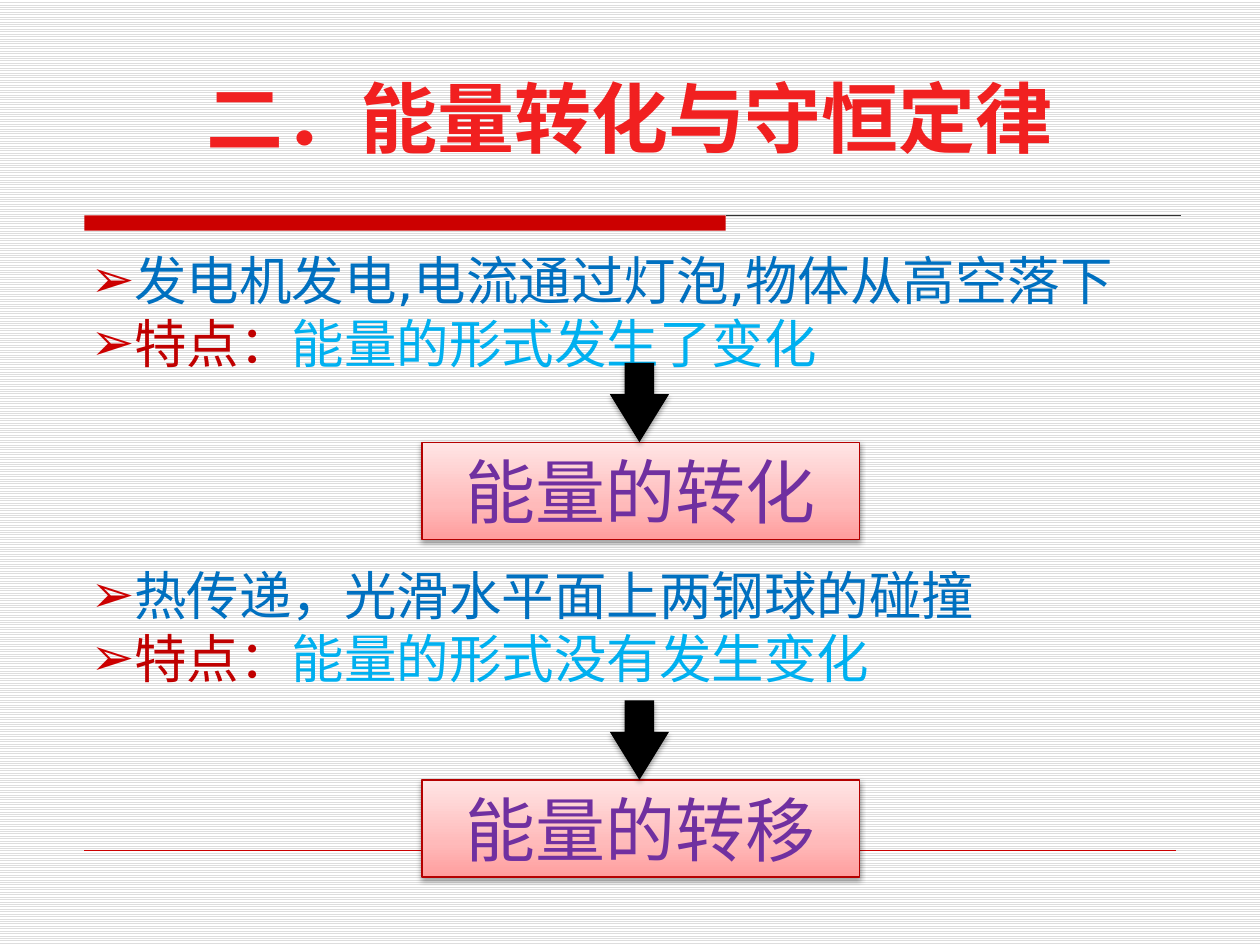
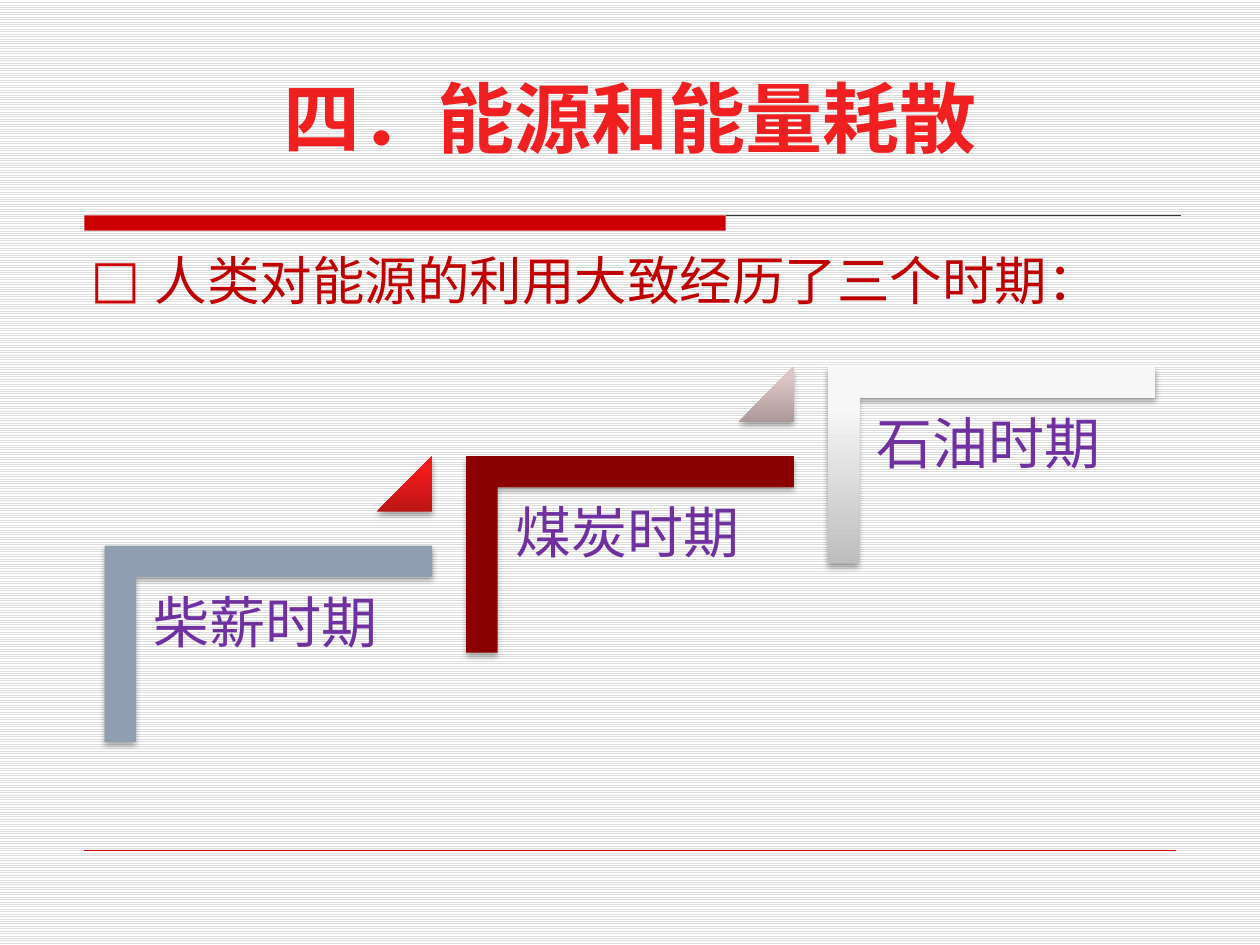
from lxml import etree
from pptx import Presentation
from pptx.dml.color import RGBColor
from pptx.enum.dml import MSO_PATTERN
from pptx.enum.shapes import MSO_CONNECTOR, MSO_SHAPE
from pptx.enum.text import MSO_ANCHOR, PP_ALIGN
from pptx.oxml.ns import qn
from pptx.util import Inches, Pt

RECT, ARROW = MSO_SHAPE.RECTANGLE, MSO_SHAPE.DOWN_ARROW
CORNER, WEDGE = MSO_SHAPE.CORNER, MSO_SHAPE.RIGHT_TRIANGLE
WEDGE = MSO_SHAPE.ISOSCELES_TRIANGLE
LINE = MSO_CONNECTOR.STRAIGHT
STRIPES = MSO_PATTERN.LIGHT_HORIZONTAL
CENTER, LEFT = PP_ALIGN.CENTER, PP_ALIGN.LEFT
MIDDLE, TOP = MSO_ANCHOR.MIDDLE, MSO_ANCHOR.TOP

# Shared look
FONT = "DejaVu Sans"
RED, TITLE, DARK = "CC0000", "F12020", "333333"
BLUE, SKY, WINE, PLUM = "0070C0", "00B0F0", "C00000", "7030A0"
PINK = [(0, "FF9D9D"), (35, "FFBABA"), (100, "FFE5E5")]
hue = RGBColor.from_string

# Grid of 100 columns and 75 rows
deck = Presentation()
deck.slide_width, deck.slide_height = Inches(10), Inches(7.5)
CELL = deck.slide_width // 100


def draw(slide, kind, cells, fill, shade=None, edge=None, adj=(), turn=0):
    """Add a shape; fill is a hex colour or a list of gradient stops."""
    shape = slide.shapes.add_shape(kind, *[int(c * CELL) for c in cells])
    shape.shadow.inherit = False
    shape.rotation = turn
    for i, part in enumerate(adj):
        shape.adjustments[i] = part
    if isinstance(fill, str):
        shape.fill.solid()
        shape.fill.fore_color.rgb = hue(fill)
    else:
        shape.fill.gradient()
        shape.fill.gradient_angle = 90
        grad = shape._element.spPr.find(qn("a:gradFill"))
        grad.set("rotWithShape", "0")
        stops = grad.find(qn("a:gsLst"))
        for old in list(stops):
            stops.remove(old)
        for pos, tone in fill:
            stop = etree.SubElement(stops, qn("a:gs"), pos=str(pos * 1000))
            etree.SubElement(stop, qn("a:srgbClr"), val=tone)
    if edge:
        shape.line.color.rgb = hue(edge)
        shape.line.width = Pt(0.75)
    else:
        shape.line.fill.background()
    if shade:
        alpha, blur, dist = shade
        glow = shape._element.spPr.find(qn("a:effectLst"))
        cast = etree.SubElement(glow, qn("a:outerShdw"), blurRad=str(Pt(blur)),
                                dist=str(Pt(dist)), dir="5400000", rotWithShape="0")
        tone = etree.SubElement(cast, qn("a:srgbClr"), val="000000")
        etree.SubElement(tone, qn("a:alpha"), val=str(alpha * 1000))
    return shape


def write(slide, where, lines, size, align=LEFT, anchor=TOP, mark=None,
          hang=0, bold=False, pad=1, space=None):
    """Fill a shape, or a new text box at the given cells, with coloured runs."""
    if isinstance(where, tuple):
        where = slide.shapes.add_textbox(*[int(c * CELL) for c in where])
    frame = where.text_frame
    frame.word_wrap = True
    frame.vertical_anchor = anchor
    frame.margin_left = frame.margin_right = int(pad * CELL)
    frame.margin_top = frame.margin_bottom = int(pad * CELL / 2 if pad == 1 else pad * CELL)
    for i, runs in enumerate(lines):
        para = frame.paragraphs[0] if i == 0 else frame.add_paragraph()
        para.alignment = align
        if mark:
            props = para._p.get_or_add_pPr()
            props.set("marL", str(int(hang * CELL)))
            props.set("indent", str(-int(hang * CELL)))
            tone = etree.SubElement(props, qn("a:buClr"))
            etree.SubElement(tone, qn("a:srgbClr"), val=RED)
            etree.SubElement(props, qn("a:buFont"), typeface=FONT)
            etree.SubElement(props, qn("a:buChar"), char=mark)
        if space:
            para.line_spacing = space
        for text, tone in runs:
            run = para.add_run()
            run.text = text
            run.font.size, run.font.bold = Pt(size), bold
            run.font.name = FONT
            run.font.color.rgb = hue(tone)
            etree.SubElement(run._r.get_or_add_rPr(), qn("a:ea"), typeface=FONT)


# Background, rules and title of both slides
pages = []
for title in ("二．能量转化与守恒定律", "四．能源和能量耗散"):
    page = deck.slides.add_slide(deck.slide_layouts[6])
    pages.append(page)
    back = page.background.fill
    back.patterned()
    back.pattern = STRIPES
    back.fore_color.rgb, back.back_color.rgb = hue("DDDDDD"), hue("FFFFFF")
    draw(page, RECT, (6.7, 17.1, 50.9, 1.2), RED)
    for start, end, row, tone, width in ((57.6, 93.7, 17.1, DARK, 0.75),
                                         (6.7, 93.3, 67.5, RED, 0.25)):
        ends = [int(c * CELL) for c in (start, row, end, row)]
        rule = page.shapes.add_connector(LINE, *ends)
        rule.line.color.rgb, rule.line.width = hue(tone), Pt(width)
        etree.SubElement(rule._element.spPr, qn("a:effectLst"))
    write(page, (5, 3, 90, 12.5), [[(title, TITLE)]], 44, CENTER, MIDDLE, bold=True)

# Slide 1: examples, their trait and the conclusion
first, second = pages
cases = (
    ("发电机发电,电流通过灯泡,物体从高空落下", "能量的形式发生了变化", "能量的转化"),
    ("热传递，光滑水平面上两钢球的碰撞", "能量的形式没有发生变化", "能量的转移"),
)
for i, (sample, trait, name) in enumerate(cases):
    write(first, (6.2, 19.2 + 25 * i, 87.5, 11),
          [[(sample, BLUE)], [("特点：", WINE), (trait, SKY)]], 30, mark="➢")
    row = 35.1 + 26.8 * i
    box = draw(first, RECT, (33.5, row, 34.7, 7.7), PINK, (38, 3.1, 1.6), "B50000")
    write(first, box, [[(name, PLUM)]], 40, CENTER, MIDDLE)
    draw(first, ARROW, (48.4, row - 6.3, 4.7, 6.3), "000000", (35, 3.1, 1.8),
         adj=(0.5, 0.81))

# Slide 2: rising steps of the three periods
write(second, (6.2, 19.2, 87.5, 8), [[("人类对能源的利用大致经历了三个时期：", WINE)]],
      30, mark="□", hang=5.1)
SHADE = (32, 3.5, 2.2)
steps = (
    ("柴薪时期", "8F9FB1", [(0, "BC1515"), (80, "F41B1B"), (100, "FA1717")]),
    ("煤炭时期", "8B0000", [(0, "AB9898"), (80, "DEC6C6"), (100, "E0C6C6")]),
    ("石油时期", [(0, "BEBEBE"), (80, "F7F7F7"), (100, "F8F8F8")], None),
)
for i, (name, fill, wedge) in enumerate(steps):
    col, row = 13.5 + 28.7 * i, 38.1 - 7.1 * i
    draw(second, CORNER, (col, row, 15.6, 26), fill, SHADE, adj=(0.16, 0.16), turn=90)
    write(second, (col - 2.6, row + 7.8, 23.5, 20.6), [[(name, PLUM)]], 32,
          pad=1.3, space=0.9)
    if wedge:
        draw(second, WEDGE, (col + 16.4, row - 1.9, 4.4, 4.4), wedge, SHADE, adj=(1,))

deck.save("out.pptx")
